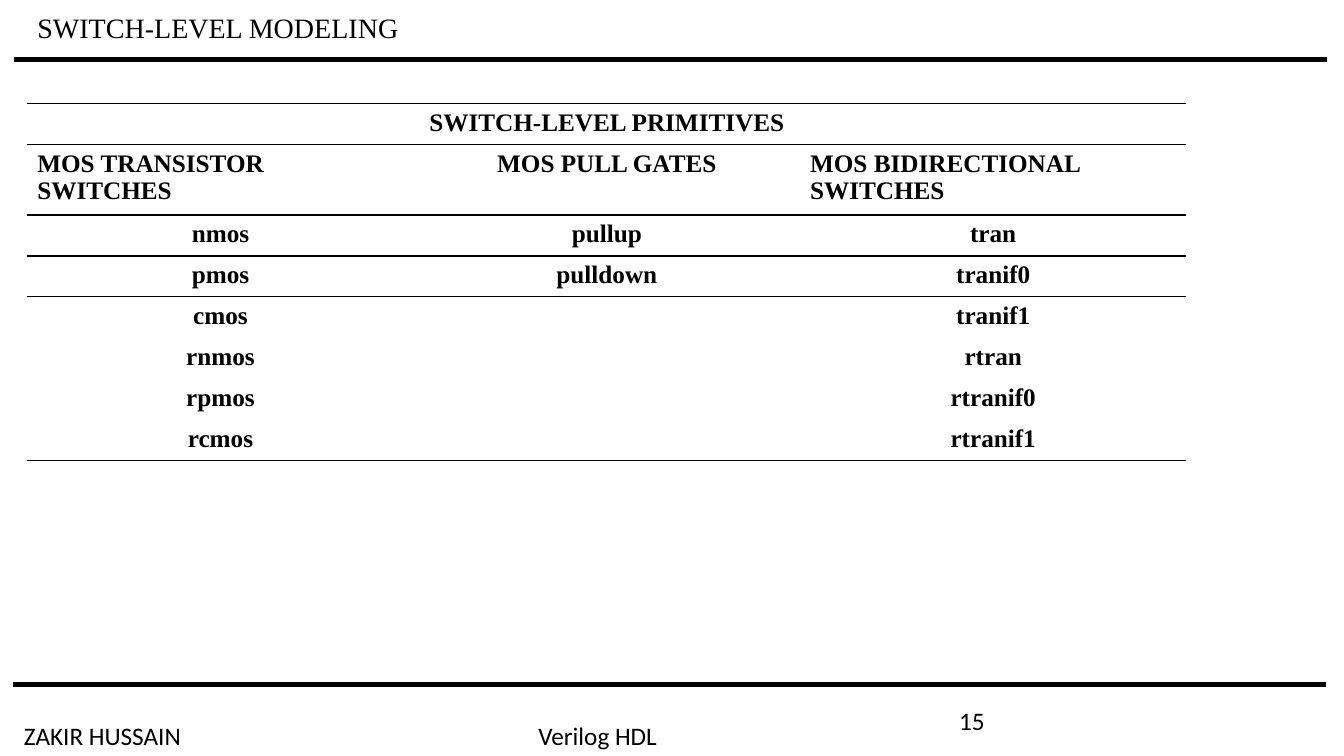
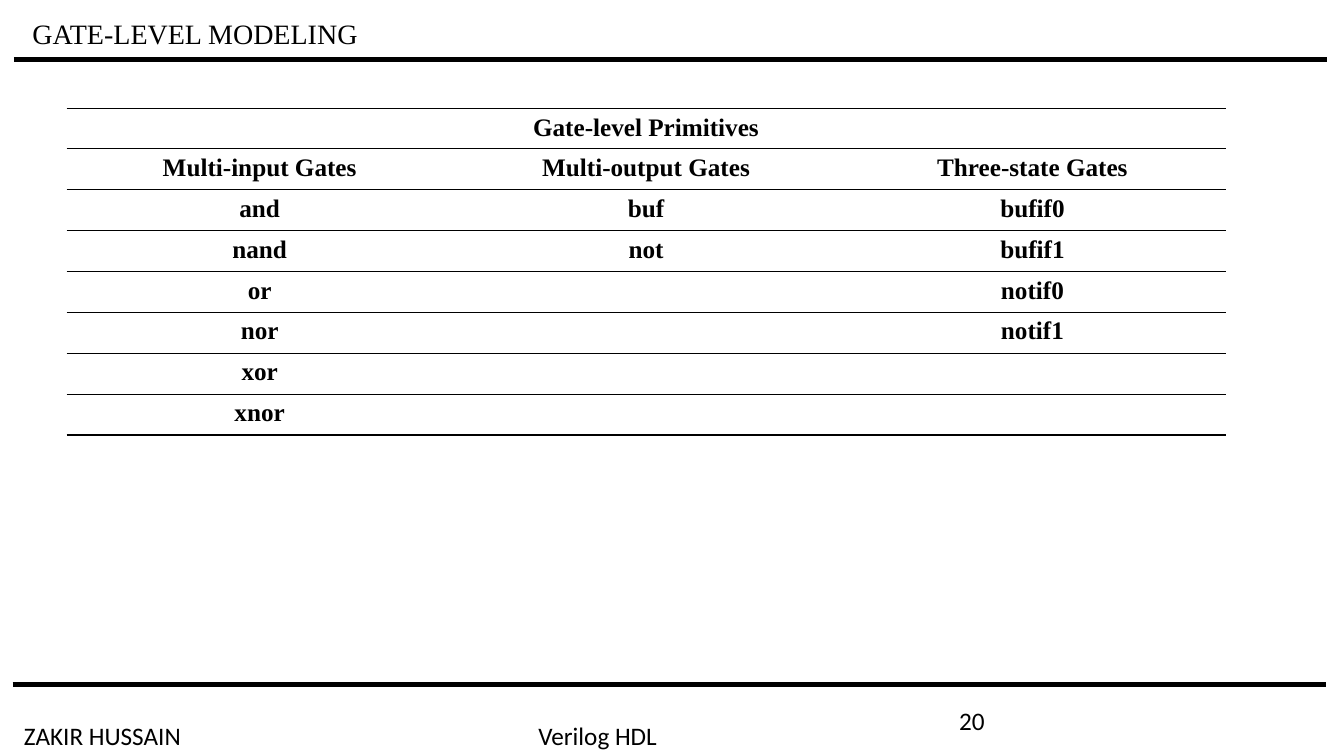
from dataclasses import dataclass

from lxml.etree import SubElement
from pptx import Presentation
from pptx.dml.color import RGBColor
from pptx.enum.shapes import MSO_CONNECTOR
from pptx.enum.text import MSO_ANCHOR as Anchor, PP_ALIGN as Align
from pptx.oxml.ns import qn
from pptx.util import Pt

PLAIN_TABLE = "{2D5ABB26-0587-4C30-8999-92F81FD0307C}"


@dataclass(frozen=True)
class Theme:
    ink: RGBColor = RGBColor(0, 0, 0)
    serif: str = "Times New Roman"
    sans: str = "Calibri"
    title_size: int = 20
    text_size: int = 18
    band_width: int = 3
    rule_width: int = 1
    column_width: int = 276
    row_height: float = 29.2


class Deck:
    def __init__(self, theme):
        self.theme = theme
        self.file = Presentation()
        self.file.slide_width, self.file.slide_height = Pt(960), Pt(540)
        self.slide = None

    def new_slide(self, title, title_box, number):
        self.slide = self.file.slides.add_slide(self.file.slide_layouts[5])
        self.band(10, 42.5)
        self.band(9, 489)
        self.label("ZAKIR HUSSAIN", 10, 511, 127.5, wrap=False)
        self.label("Verilog HDL", 377.5, 511, 100, wrap=False)
        self.label(number, 678, 500.5, 216)
        self.title(title, title_box)

    def add_text(self, paragraph, text, size, font, bold=False):
        run = paragraph.add_run()
        run.text = text
        run.font.size, run.font.name, run.font.bold = Pt(size), font, bold
        run.font.color.rgb = self.theme.ink

    def title(self, text, box):
        heading = self.slide.shapes.title
        heading.left, heading.top, heading.width, heading.height = map(Pt, box)
        frame = heading.text_frame
        frame.word_wrap = True
        frame.vertical_anchor = Anchor.MIDDLE
        paragraph = frame.paragraphs[0]
        paragraph.alignment, paragraph.line_spacing = Align.LEFT, 0.9
        self.add_text(paragraph, text, self.theme.title_size, self.theme.serif)

    def label(self, text, left, top, width, wrap=True):
        box = self.slide.shapes.add_textbox(Pt(left), Pt(top), Pt(width), Pt(29))
        box.text_frame.word_wrap = wrap
        self.add_text(box.text_frame.paragraphs[0], text, self.theme.text_size, self.theme.sans)

    def band(self, left, top):
        band = self.slide.shapes.add_connector(
            MSO_CONNECTOR.STRAIGHT, Pt(left), Pt(top), Pt(left + 938), Pt(top))
        band.line.color.rgb = self.theme.ink
        band.line.width = Pt(self.theme.band_width)
        SubElement(band._element.spPr, qn("a:effectLst"))

    def rule(self, cell, side):
        properties = cell._tc.get_or_add_tcPr()
        line = SubElement(properties, qn(f"a:{side}"), w=str(Pt(self.theme.rule_width)))
        fill = SubElement(line, qn("a:solidFill"))
        SubElement(fill, qn("a:srgbClr"), val=str(self.theme.ink))

    def table(self, left, top, caption, rows, ruled, first_height, left_aligned=()):
        theme = self.theme
        grid = [[caption, "", ""], *rows]
        height = first_height + theme.row_height * len(rows)
        table = self.slide.shapes.add_table(
            len(grid), 3, Pt(left), Pt(top), Pt(3 * theme.column_width), Pt(height)).table
        table.first_row = table.horz_banding = False
        table._tbl.tblPr.find(qn("a:tableStyleId")).text = PLAIN_TABLE
        for column in table.columns:
            column.width = Pt(theme.column_width)
        for r, texts in enumerate(grid):
            table.rows[r].height = Pt(theme.row_height if r else first_height)
            for c, text in enumerate(texts):
                cell = table.cell(r, c)
                if r == 0 or r - 1 in ruled:
                    self.rule(cell, "lnT")
                if r in ruled:
                    self.rule(cell, "lnB")
                cell.fill.background()
                paragraph = cell.text_frame.paragraphs[0]
                paragraph.alignment = Align.LEFT if (r, c) in left_aligned else Align.CENTER
                if text:
                    self.add_text(paragraph, text, theme.text_size, theme.serif, bold=True)
        table.cell(0, 0).merge(table.cell(0, 2))


def main():
    deck = Deck(Theme())

    deck.new_slide("SWITCH-LEVEL MODELING", (19.5, 8.5, 918, 25), "15")
    switches = [
        ("MOS TRANSISTOR SWITCHES", "MOS PULL GATES", "MOS BIDIRECTIONAL SWITCHES"),
        ("nmos", "pullup", "tran"),
        ("pmos", "pulldown", "tranif0"),
        ("cmos", "", "tranif1"),
        ("rnmos", "", "rtran"),
        ("rpmos", "", "rtranif0"),
        ("rcmos", "", "rtranif1"),
    ]
    deck.table(19.5, 74, "SWITCH-LEVEL PRIMITIVES", switches, ruled={0, 1, 2, 7},
               first_height=29.2, left_aligned={(1, 0), (1, 2)})

    deck.new_slide("GATE-LEVEL MODELING", (16, 10, 928, 30), "20")
    gates = [
        ("Multi-input Gates", "Multi-output Gates", "Three-state Gates"),
        ("and", "buf", "bufif0"),
        ("nand", "not", "bufif1"),
        ("or", "", "notif0"),
        ("nor", "", "notif1"),
        ("xor", "", ""),
        ("xnor", "", ""),
    ]
    deck.table(47.5, 77.5, "Gate-level Primitives", gates, ruled=set(range(8)),
               first_height=22.3)

    deck.file.save("out.pptx")


if __name__ == "__main__":
    main()
